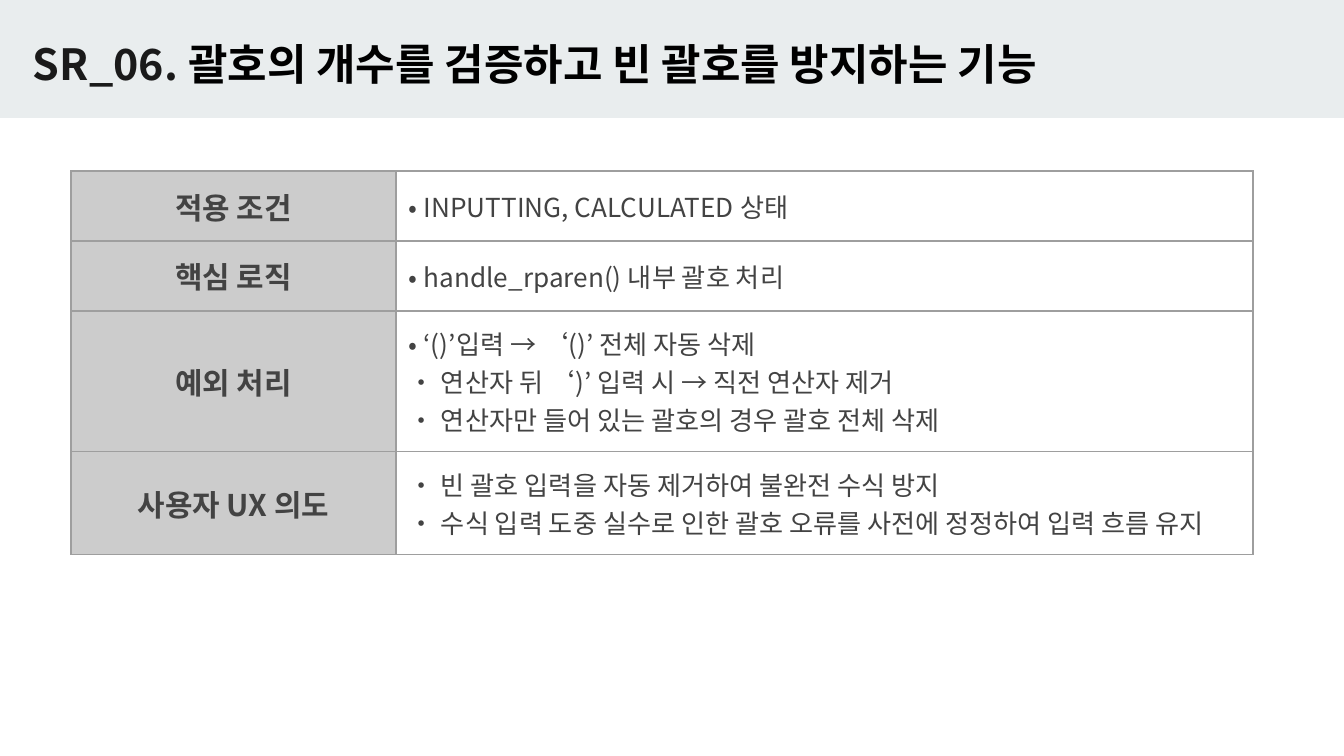
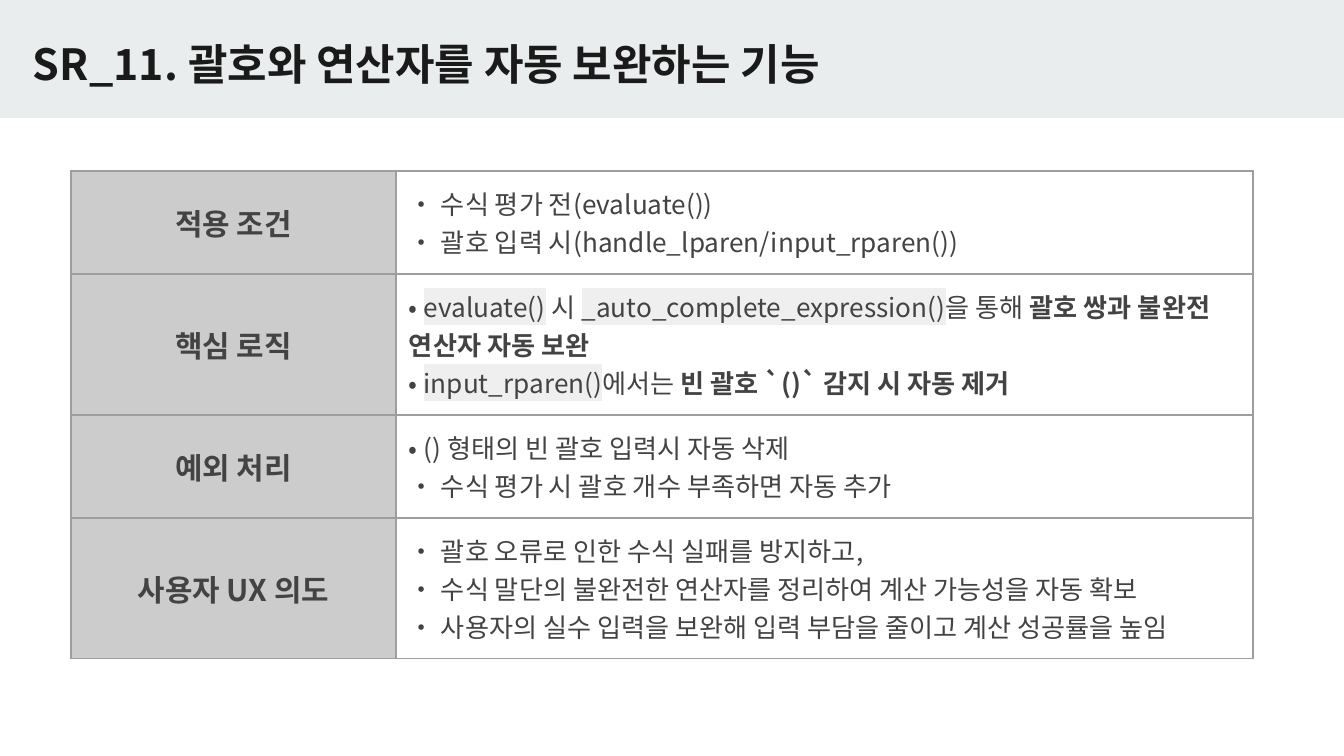
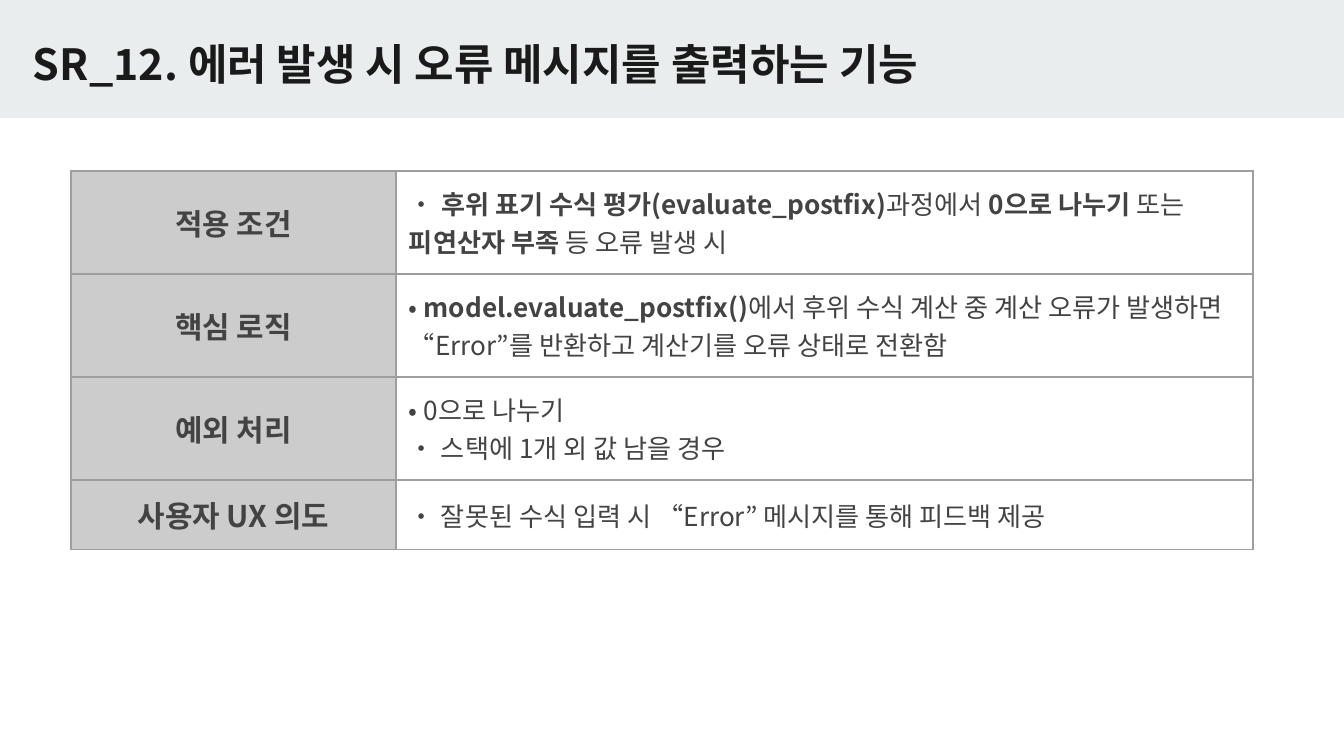
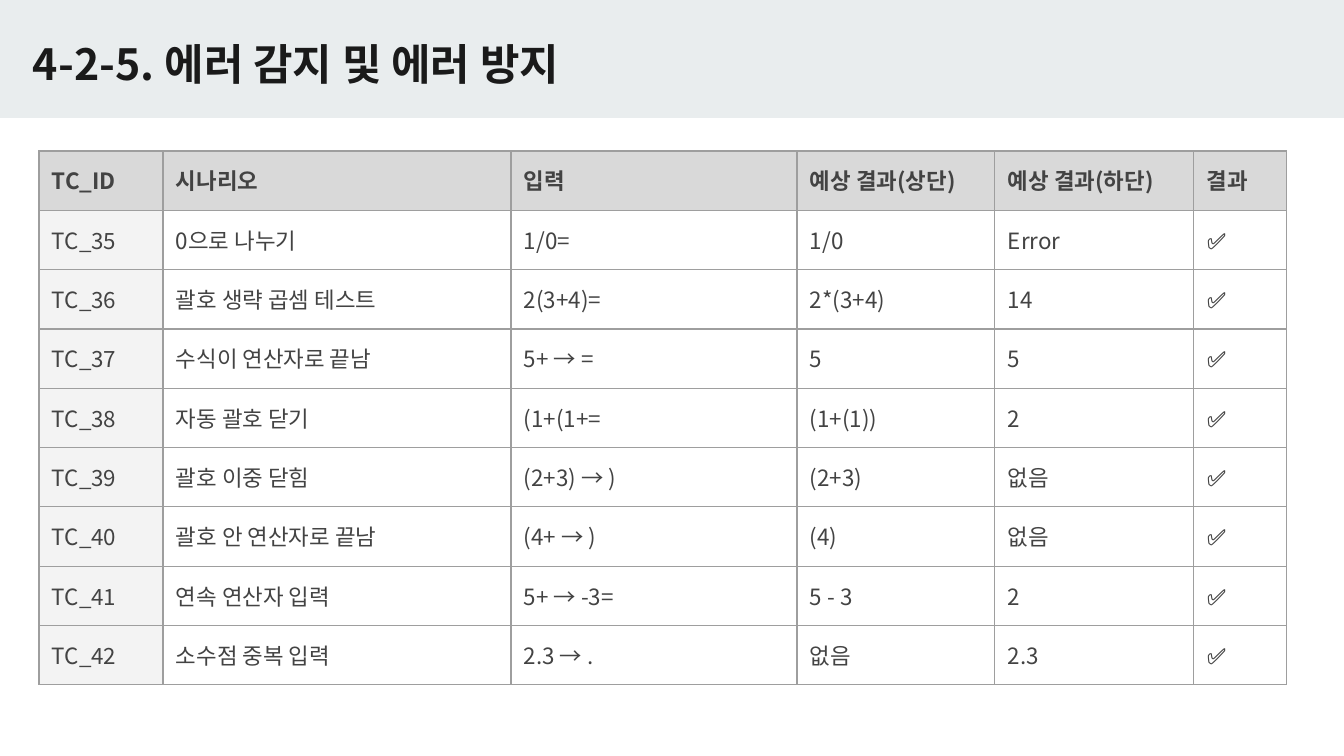
from lxml.etree import SubElement
from pptx import Presentation
from pptx.dml.color import RGBColor
from pptx.enum.shapes import MSO_SHAPE
from pptx.enum.text import MSO_ANCHOR, PP_ALIGN
from pptx.oxml.ns import qn
from pptx.util import Emu, Pt

FONT = "Noto Sans CJK KR"
BAND, INK, BLACK, GRAY = "E9EDEE", "1A1A1A", "000000", "434343"
LABEL_FILL, HEADER_FILL, ID_FILL = "CCCCCC", "D9D9D9", "F3F3F3"
BORDER, CODE_FILL = "9E9E9E", "EFEFEF"
PLAIN, BOLD, CODE = "plain", "bold", "code"
INSET = 13

TITLE_BOX = (20, 24, 1130, 79)
SPEC_BOX = (71, 171, 1182)
SPEC_LABEL_WIDTH = 325
TEST_BOX = (39, 151, 1248, 534)
TEST_WIDTHS = (124, 348, 286, 198, 199, 93)
SPEC_LABELS = ("적용 조건", "핵심 로직", "예외 처리", "사용자 UX 의도")

SPECS = [
    (
        [("SR_06. ", INK, FONT), ("괄호의 개수를 검증하고 빈 괄호를 방지하는 기능", BLACK, "Arial")],
        (70, 70, 141, 103),
        (
            ["• INPUTTING, CALCULATED 상태"],
            ["• handle_rparen() 내부 괄호 처리"],
            [
                "• ‘()’입력 → ‘()’ 전체 자동 삭제",
                "• 연산자 뒤 ‘)’ 입력 시 → 직전 연산자 제거",
                "• 연산자만 들어 있는 괄호의 경우 괄호 전체 삭제",
            ],
            [
                "• 빈 괄호 입력을 자동 제거하여 불완전 수식 방지",
                "• 수식 입력 도중 실수로 인한 괄호 오류를 사전에 정정하여 입력 흐름 유지",
            ],
        ),
    ),
    (
        [("SR_11. 괄호와 연산자를 자동 보완하는 기능", INK, FONT)],
        (103, 141, 103, 141),
        (
            ["• 수식 평가 전(evaluate())", "• 괄호 입력 시(handle_lparen/input_rparen())"],
            [
                [
                    ("• ", PLAIN), ("evaluate()", CODE), (" 시 ", PLAIN),
                    ("_auto_complete_expression()", CODE), ("을 통해 ", PLAIN),
                    ("괄호 쌍과 불완전 연산자 자동 보완", BOLD),
                ],
                [
                    ("• ", PLAIN), ("input_rparen()", CODE), ("에서는 ", PLAIN),
                    ("빈 괄호 `()` 감지 시 자동 제거", BOLD),
                ],
            ],
            ["• () 형태의 빈 괄호 입력시 자동 삭제", "• 수식 평가 시 괄호 개수 부족하면 자동 추가"],
            [
                "• 괄호 오류로 인한 수식 실패를 방지하고,",
                "• 수식 말단의 불완전한 연산자를 정리하여 계산 가능성을 자동 확보",
                "• 사용자의 실수 입력을 보완해 입력 부담을 줄이고 계산 성공률을 높임",
            ],
        ),
    ),
    (
        [("SR_12. 에러 발생 시 오류 메시지를 출력하는 기능", INK, FONT)],
        (103, 103, 103, 70),
        (
            [[
                ("• ", PLAIN), ("후위 표기 수식 평가(evaluate_postfix)", BOLD), ("과정에서 ", PLAIN),
                ("0으로 나누기", BOLD), (" 또는 ", PLAIN),
                ("피연산자 부족", BOLD), (" 등 오류 발생 시", PLAIN),
            ]],
            [[
                ("• ", PLAIN), ("model.evaluate_postfix()", BOLD),
                ("에서 후위 수식 계산 중 계산 오류가 발생하면 “Error”를 반환하고 "
                 "계산기를 오류 상태로 전환함", PLAIN),
            ]],
            ["• 0으로 나누기", "• 스택에 1개 외 값 남을 경우"],
            ["• 잘못된 수식 입력 시 “Error” 메시지를 통해 피드백 제공"],
        ),
    ),
]

TEST_TITLE = [("4-2-5. 에러 감지 및 에러 방지", INK, FONT)]
TEST_HEADER = ("TC_ID", "시나리오", "입력", "예상 결과(상단)", "예상 결과(하단)", "결과")
TEST_CASES = [
    ("0으로 나누기", "1/0=", "1/0", "Error"),
    ("괄호 생략 곱셈 테스트", "2(3+4)=", "2*(3+4)", "14"),
    ("수식이 연산자로 끝남", "5+ → =", "5", "5"),
    ("자동 괄호 닫기", "(1+(1+=", "(1+(1))", "2"),
    ("괄호 이중 닫힘", "(2+3) → )", "(2+3)", "없음"),
    ("괄호 안 연산자로 끝남", "(4+ → )", "(4)", "없음"),
    ("연속 연산자 입력", "5+ → -3=", "5 - 3", "2"),
    ("소수점 중복 입력", "2.3 → .", "없음", "2.3"),
]
FIRST_CASE = 35


def px(length):
    return Emu(round(length * 914400 / 134.4))


def rgb(color):
    return RGBColor.from_string(color)


def set_insets(holder):
    holder.margin_left = holder.margin_right = px(INSET)
    holder.margin_top = holder.margin_bottom = px(INSET)


def add_run(paragraph, text, size, color, bold=False, font=FONT, highlight=None):
    run = paragraph.add_run()
    run.text = text
    run.font.size = Pt(size)
    run.font.bold = bold
    run.font.color.rgb = rgb(color)
    run.font.name = font
    properties = run.font._element
    SubElement(properties, qn("a:ea")).set("typeface", FONT)
    if highlight:
        marker = SubElement(properties, qn("a:highlight"))
        SubElement(marker, qn("a:srgbClr")).set("val", highlight)
        properties.find(qn("a:latin")).addprevious(marker)


def outline(cell):
    properties = cell._tc.get_or_add_tcPr()
    for side in ("L", "R", "T", "B"):
        line = SubElement(properties, qn(f"a:ln{side}"), w=str(Pt(0.75)))
        fill = SubElement(line, qn("a:solidFill"))
        SubElement(fill, qn("a:srgbClr")).set("val", BORDER)


def fill_cell(cell, paragraphs, size, bold=False, fill=None, align=PP_ALIGN.LEFT,
              anchor=MSO_ANCHOR.TOP):
    set_insets(cell)
    cell.vertical_anchor = anchor
    outline(cell)
    if fill:
        cell.fill.solid()
        cell.fill.fore_color.rgb = rgb(fill)
    else:
        cell.fill.background()
    frame = cell.text_frame
    for index, content in enumerate(paragraphs):
        paragraph = frame.add_paragraph() if index else frame.paragraphs[0]
        paragraph.alignment = align
        pieces = [(content, PLAIN)] if isinstance(content, str) else content
        for text, style in pieces:
            add_run(paragraph, text, size, GRAY, bold or style == BOLD,
                    highlight=CODE_FILL if style == CODE else None)


def add_grid(slide, box, widths, heights):
    left, top, width, height = box
    grid = slide.shapes.add_table(len(heights), len(widths), px(left), px(top),
                                  px(width), px(height)).table
    grid.first_row = grid.horz_banding = False
    for column, column_width in zip(grid.columns, widths):
        column.width = px(column_width)
    for row, row_height in zip(grid.rows, heights):
        row.height = px(row_height)
    return grid


def add_heading(slide, box, pieces):
    band = slide.shapes.add_shape(MSO_SHAPE.RECTANGLE, 0, 0, px(1344), px(118))
    band.shadow.inherit = False
    band.fill.solid()
    band.fill.fore_color.rgb = rgb(BAND)
    band.line.fill.background()
    frame = slide.shapes.add_textbox(*map(px, box)).text_frame
    set_insets(frame)
    frame.word_wrap = True
    frame.vertical_anchor = MSO_ANCHOR.MIDDLE
    for text, color, font in pieces:
        add_run(frame.paragraphs[0], text, 23, color, True, font)


def add_spec_table(slide, box, heights, details):
    left, top, width = box
    widths = (SPEC_LABEL_WIDTH, width - SPEC_LABEL_WIDTH)
    grid = add_grid(slide, (left, top, width, sum(heights)), widths, heights)
    for row, (label, paragraphs) in enumerate(zip(SPEC_LABELS, details)):
        fill_cell(grid.cell(row, 0), [label], 16, True, LABEL_FILL,
                  PP_ALIGN.CENTER, MSO_ANCHOR.MIDDLE)
        fill_cell(grid.cell(row, 1), paragraphs, 14, anchor=MSO_ANCHOR.MIDDLE)


def add_test_table(slide, box):
    rows = [TEST_HEADER]
    for number, case in enumerate(TEST_CASES, FIRST_CASE):
        rows.append((f"TC_{number}", *case, "✅"))
    grid = add_grid(slide, box, TEST_WIDTHS, [box[3] / len(rows)] * len(rows))
    for row, values in enumerate(rows):
        for column, value in enumerate(values):
            fill = HEADER_FILL if row == 0 else ID_FILL if column == 0 else None
            fill_cell(grid.cell(row, column), [value], 12, row == 0, fill)


def add_titled_slide(deck, title):
    slide = deck.slides.add_slide(deck.slide_layouts[6])
    add_heading(slide, TITLE_BOX, title)
    return slide


def main():
    deck = Presentation()
    deck.slide_width, deck.slide_height = px(1344), px(756)
    for title, heights, details in SPECS:
        add_spec_table(add_titled_slide(deck, title), SPEC_BOX, heights, details)
    add_test_table(add_titled_slide(deck, TEST_TITLE), TEST_BOX)
    deck.save("out.pptx")


if __name__ == "__main__":
    main()
